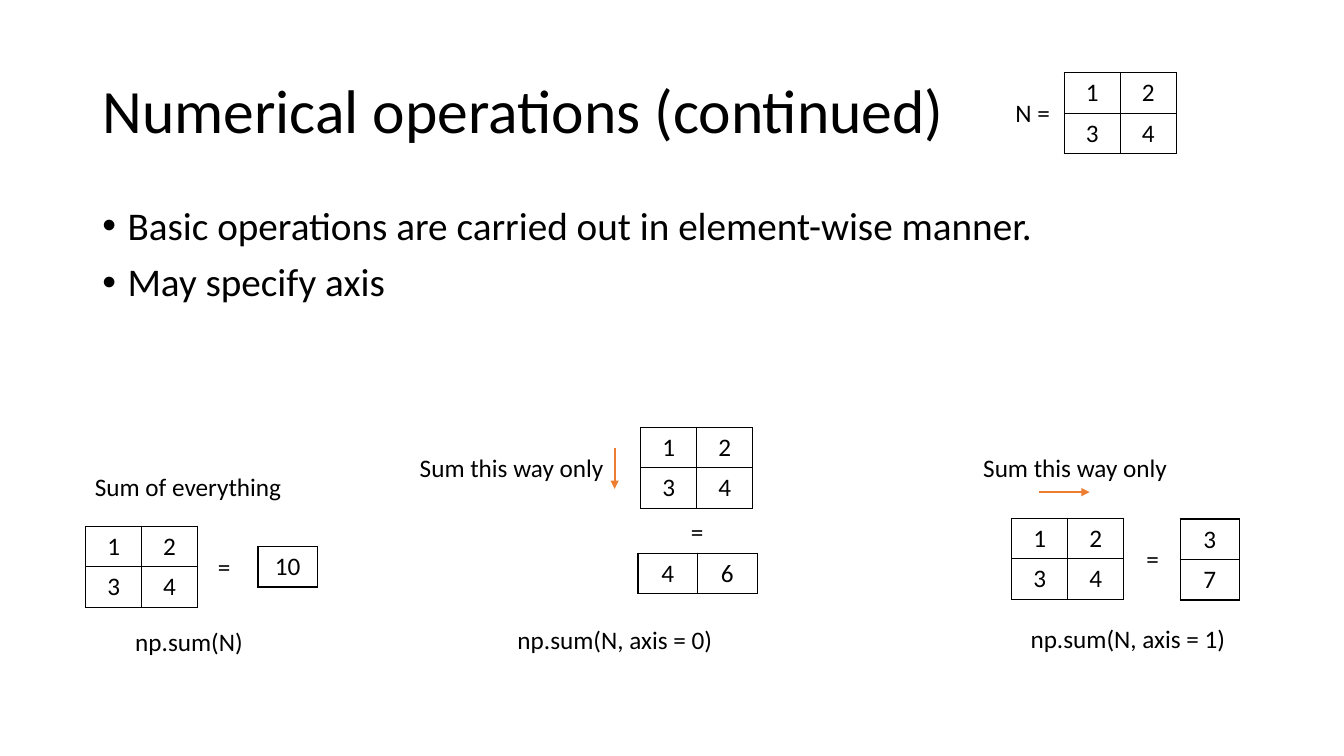
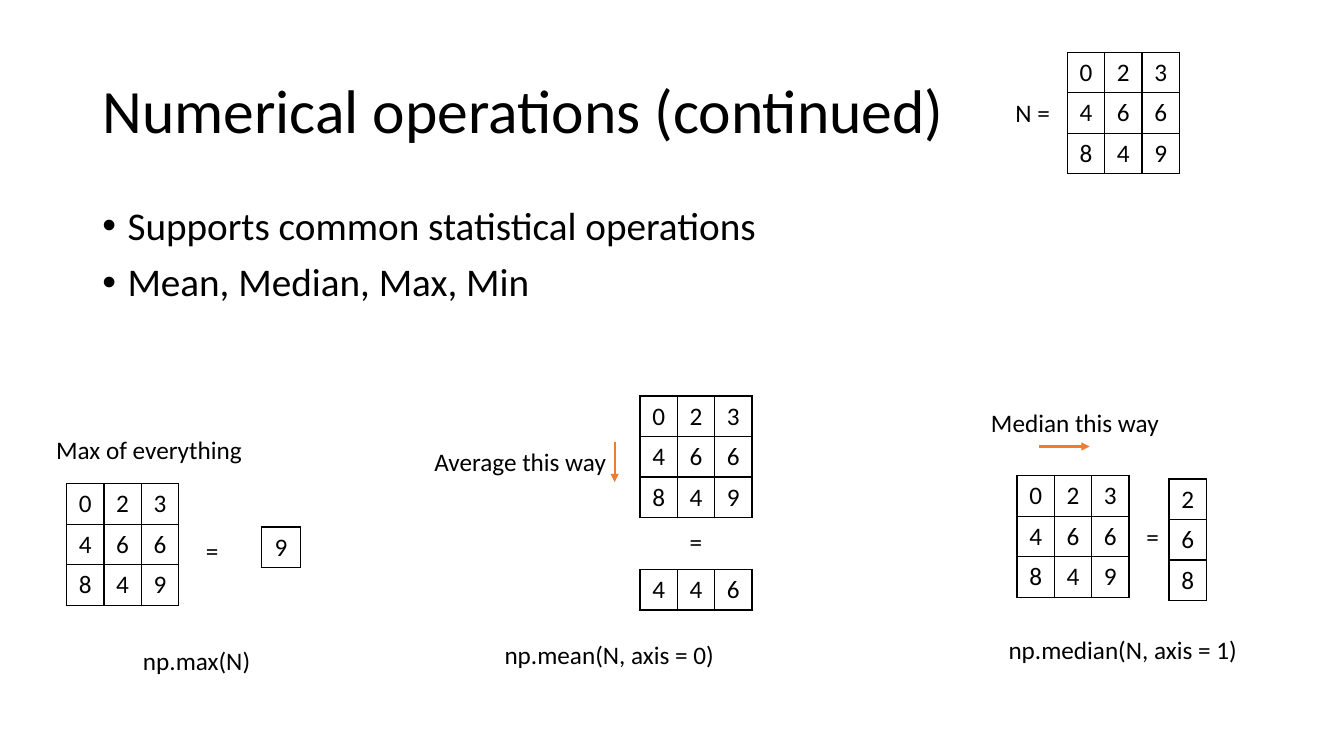
import pptx
import pptx.dml.color
import pptx.enum.shapes
import pptx.enum.text
import pptx.oxml
import pptx.oxml.ns
import pptx.util

Cm = pptx.util.Cm
Pt = pptx.util.Pt
ALIGN = pptx.enum.text.PP_ALIGN
ANCHOR = pptx.enum.text.MSO_ANCHOR

BLACK = pptx.dml.color.RGBColor(0x00, 0x00, 0x00)
ORANGE = pptx.dml.color.RGBColor(0xED, 0x7D, 0x31)
WHITE = pptx.dml.color.RGBColor(0xFF, 0xFF, 0xFF)
FONT = "Calibri"

# Lengths are in centimetres.
WIDE, HIGH = 33.87, 19.05
ROW = 1.02
TITLE = "Numerical operations (continued)"
TITLE_BOX = (2.33, 1.02, 29.21, 3.68)
BODY_BOX = (2.33, 5.08, 27.64, 12.09)
NAME = ("N = ", 25.32, 2.34, 1.55)
RIGHT, DOWN = (1.27, 0), (0, 1.02)

# grid: the matrix N, its column width, its row height and its corners
# labels: text, left, top, width
# sums: rows, left, top, column width
# arrows: left, top, direction
SLIDES = [
    {
        "bullets": ["Basic operations are carried out in element-wise manner.",
                    "May specify axis"],
        "grid": [[1, 2], [3, 4]],
        "col": 1.41,
        "spots": [(26.82, 1.83), (2.16, 13.26), (16.15, 10.77), (25.5, 13.06)],
        "sums": [
            ([[10]], 6.5, 13.77, 1.5),
            ([[4, 6]], 16.08, 13.94, 1.5),
            ([[3], [7]], 29.74, 13.08, 1.5),
        ],
        "labels": [
            ("Sum of everything", 2.11, 11.76, 5.26),
            ("=", 5.23, 13.77, 0.84),
            ("np.sum(N)", 3.1, 15.67, 3.33),
            ("Sum this way only", 10.29, 11.28, 5.21),
            ("=", 17.15, 12.88, 0.84),
            ("np.sum(N, axis = 0)", 12.75, 15.6, 5.49),
            ("Sum this way only", 24.49, 11.28, 5.21),
            ("=", 28.63, 13.56, 0.84),
            ("np.sum(N, axis = 1)", 25.68, 15.57, 5.49),
        ],
        "arrows": [(15.49, 11.3, DOWN), (26.19, 12.4, RIGHT)],
    },
    {
        "bullets": ["Supports common statistical operations",
                    "Mean, Median, Max, Min"],
        "grid": [[0, 2, 3], [4, 6, 6], [8, 4, 9]],
        "col": 0.94,
        "spots": [(26.9, 1.32), (1.68, 12.19), (16.13, 9.98), (25.63, 11.99)],
        "sums": [
            ([[9]], 6.58, 13.28, 1),
            ([[4, 4, 6]], 16.13, 14.35, 0.94),
            ([[2], [6], [8]], 29.46, 12.07, 0.94),
        ],
        "labels": [
            ("Max of everything", 1.14, 10.82, 5.23),
            ("=", 4.93, 13.36, 0.84),
            ("np.max(N)", 3.33, 16.13, 3.25),
            ("Average this way", 10.67, 11.13, 4.88),
            ("=", 17.12, 13.13, 0.84),
            ("np.mean(N, axis = 0)", 12.42, 15.98, 5.87),
            ("Median this way", 24.69, 10.13, 4.8),
            ("=", 28.63, 13, 0.84),
            ("np.median(N, axis = 1)", 25.12, 15.85, 6.35),
        ],
        "arrows": [(15.49, 11.13, DOWN), (26.19, 11.25, RIGHT)],
    },
]


def node(tag, inner="", **attrs):
    """Make one DrawingML element."""
    pairs = "".join(f' {key}="{val}"' for key, val in attrs.items())
    space = pptx.oxml.ns.nsdecls("a")
    return pptx.oxml.parse_xml(f"<a:{tag} {space}{pairs}>{inner}</a:{tag}>")


def write(frame, text, size=18, align=ALIGN.CENTER, line=1.0, before=0,
          bullet=False):
    """Fill a text frame, one paragraph for each line of text."""
    for i, words in enumerate(text.split("\n")):
        para = frame.add_paragraph() if i else frame.paragraphs[0]
        para.alignment = align
        para.line_spacing = line
        para.space_before = Pt(before)
        run = para.add_run()
        run.text = words
        run.font.name = FONT
        run.font.size = Pt(size)
        run.font.bold = False
        run.font.color.rgb = BLACK
        if bullet:
            props = para._p.get_or_add_pPr()
            props.set("marL", str(Pt(18)))
            props.set("indent", str(-Pt(18)))
            props.append(node("buFont", typeface="Arial"))
            props.append(node("buChar", char="\u2022"))


def box(slide, text, area, wrap=True, anchor=ANCHOR.TOP, **form):
    """Add a text box."""
    frame = slide.shapes.add_textbox(*map(Cm, area)).text_frame
    frame.word_wrap = wrap
    frame.vertical_anchor = anchor
    write(frame, text, **form)


def label(slide, text, left, top, width):
    """Add a short centred line of text."""
    box(slide, text, (left, top, width, ROW), wrap=False)


def matrix(slide, rows, left, top, col):
    """Add a table of numbers ruled in black."""
    high, wide = len(rows), len(rows[0])
    table = slide.shapes.add_table(
        high, wide, Cm(left), Cm(top), Cm(col * wide), Cm(ROW * high)).table
    table.first_row = table.horz_banding = False
    for r, row in enumerate(rows):
        for c, value in enumerate(row):
            cell = table.cell(r, c)
            cell.vertical_anchor = ANCHOR.MIDDLE
            write(cell.text_frame, str(value))
            props = cell._tc.get_or_add_tcPr()
            ink = f'<a:solidFill><a:srgbClr val="{BLACK}"/></a:solidFill>'
            for side in ("lnL", "lnR", "lnT", "lnB"):
                props.append(node(side, ink, w=Pt(1)))
            cell.fill.background()


def arrow(slide, left, top, way):
    """Add an orange arrow that points along an axis."""
    ends = (left, top, left + way[0], top + way[1])
    line = slide.shapes.add_connector(
        pptx.enum.shapes.MSO_CONNECTOR.STRAIGHT, *map(Cm, ends))
    line.line.color.rgb = ORANGE
    line.line.width = Pt(1.5)
    line.line._get_or_add_ln().append(node("tailEnd", type="triangle"))
    line._element.spPr.append(node("effectLst"))


def build(deck, data):
    """Add one slide."""
    slide = deck.slides.add_slide(deck.slide_layouts[6])
    slide.background.fill.solid()
    slide.background.fill.fore_color.rgb = WHITE
    box(slide, TITLE, TITLE_BOX, anchor=ANCHOR.MIDDLE, size=44,
        align=ALIGN.LEFT, line=0.9)
    box(slide, "\n".join(data["bullets"]), BODY_BOX, size=28,
        align=ALIGN.LEFT, line=0.9, before=10, bullet=True)
    for left, top in data["spots"]:
        matrix(slide, data["grid"], left, top, data["col"])
    for item in data["sums"]:
        matrix(slide, *item)
    for item in [NAME] + data["labels"]:
        label(slide, *item)
    for item in data["arrows"]:
        arrow(slide, *item)


deck = pptx.Presentation()
deck.slide_width, deck.slide_height = Cm(WIDE), Cm(HIGH)
for data in SLIDES:
    build(deck, data)
deck.save("out.pptx")
